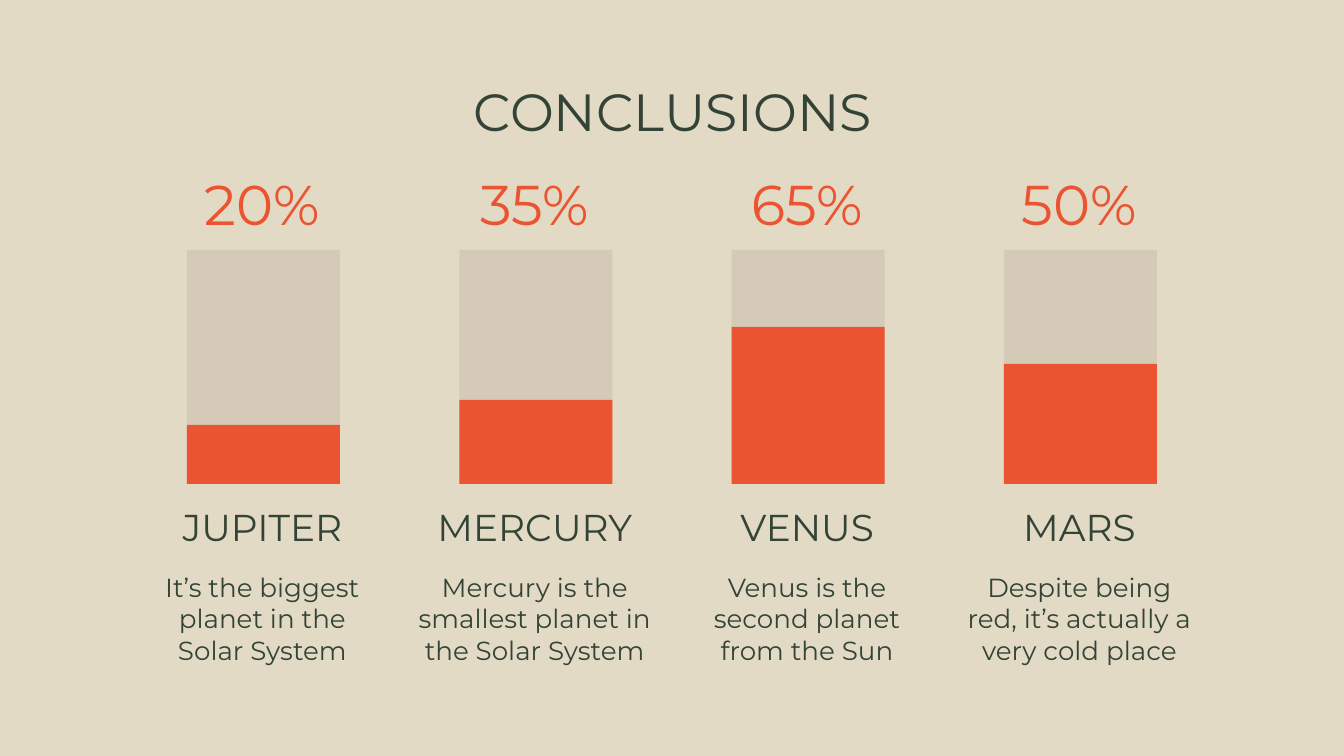
from dataclasses import dataclass

from pptx import Presentation
from pptx.dml.color import RGBColor
from pptx.enum.shapes import MSO_SHAPE
from pptx.enum.text import MSO_ANCHOR, MSO_AUTO_SIZE, PP_ALIGN
from pptx.util import Inches, Pt

TITLE = "CONCLUSIONS"
# planet, share, filled height of the bar in px, remark
PLANETS = [
    ("JUPITER", "20%", 59, "It’s the biggest planet in the Solar System"),
    ("MERCURY", "35%", 84, "Mercury is the smallest planet in the Solar System"),
    ("VENUS", "65%", 157, "Venus is the second planet from the Sun"),
    ("MARS", "50%", 120, "Despite being red, it’s actually a very cold place"),
]


@dataclass(frozen=True)
class Theme:
    font: str = "Montserrat"
    background: str = "E3DAC5"
    ink: str = "334436"
    accent: str = "EA5430"
    track: str = "D4CAB7"
    title_size: int = 28
    share_size: int = 30
    planet_size: int = 20
    remark_size: int = 14


THEME = Theme()
PX_PER_INCH = 134.4
SLIDE_W, SLIDE_H = 1344, 756
BAR_W, BAR_TOP, BAR_BOTTOM = 153, 250, 484
FIRST_BAR, LAST_BAR = 187, 1004
PITCH = (LAST_BAR - FIRST_BAR) / (len(PLANETS) - 1)
LABEL_W = 265


def px(length):
    return Inches(length / PX_PER_INCH)


def place(shape, left, top, width, height):
    shape.left, shape.top = px(left), px(top)
    shape.width, shape.height = px(width), px(height)


def write(shape, text, size, color, anchor):
    frame = shape.text_frame
    frame.text = text
    frame.word_wrap = True
    frame.auto_size = MSO_AUTO_SIZE.NONE
    frame.vertical_anchor = anchor
    frame.margin_left = frame.margin_right = Inches(0.1)
    frame.margin_top = frame.margin_bottom = Inches(0.1)
    paragraph = frame.paragraphs[0]
    paragraph.alignment = PP_ALIGN.CENTER
    font = paragraph.runs[0].font
    font.name, font.size = THEME.font, Pt(size)
    font.color.rgb = RGBColor.from_string(color)


def add_label(slide, box, text, size, color, anchor=MSO_ANCHOR.BOTTOM):
    label = slide.shapes.add_textbox(*map(px, box))
    write(label, text, size, color, anchor)


def add_bar(slide, left, height, color):
    """Draw a bar that stands on the common base line."""
    box = (left, BAR_BOTTOM - height, BAR_W, height)
    bar = slide.shapes.add_shape(MSO_SHAPE.RECTANGLE, *map(px, box))
    bar.shadow.inherit = False
    bar.fill.solid()
    bar.fill.fore_color.rgb = RGBColor.from_string(color)
    bar.line.fill.background()


def add_planet(slide, bar_left, planet, share, filled, remark):
    label_left = bar_left + (BAR_W - LABEL_W) / 2 - 1
    add_label(slide, (label_left, 484, LABEL_W, 78), planet,
              THEME.planet_size, THEME.ink)
    add_label(slide, (label_left, 558, LABEL_W, 120), remark,
              THEME.remark_size, THEME.ink, MSO_ANCHOR.TOP)
    add_label(slide, (label_left, 152, LABEL_W, 98), share,
              THEME.share_size, THEME.accent)
    add_bar(slide, bar_left, BAR_BOTTOM - BAR_TOP, THEME.track)
    add_bar(slide, bar_left, filled, THEME.accent)


def main():
    deck = Presentation()
    deck.slide_width, deck.slide_height = px(SLIDE_W), px(SLIDE_H)
    slide = deck.slides.add_slide(deck.slide_layouts.get_by_name("Title Only"))
    slide.background.fill.solid()
    slide.background.fill.fore_color.rgb = RGBColor.from_string(THEME.background)

    title = slide.shapes.title
    place(title, 106, 66, 1133, 85)
    write(title, TITLE, THEME.title_size, THEME.ink, MSO_ANCHOR.TOP)

    for column, planet in enumerate(PLANETS):
        add_planet(slide, FIRST_BAR + column * PITCH, *planet)

    deck.save("out.pptx")


if __name__ == "__main__":
    main()
